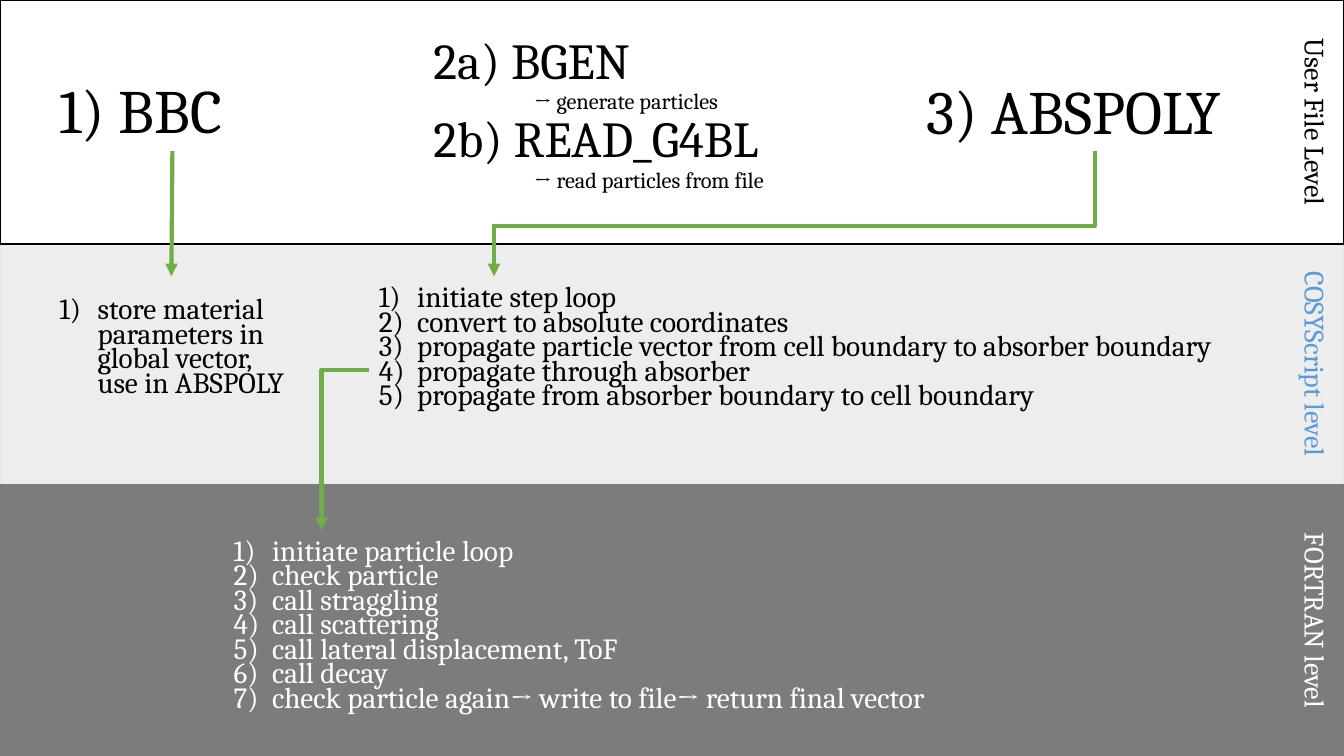
from dataclasses import dataclass
from lxml.etree import SubElement
from pptx import Presentation
from pptx.dml.color import RGBColor
from pptx.enum.shapes import MSO_CONNECTOR, MSO_SHAPE
from pptx.enum.text import MSO_ANCHOR, PP_ALIGN
from pptx.oxml.ns import qn
from pptx.util import Inches, Pt


@dataclass(frozen=True)
class Theme:
    font: str = "Cambria"
    dark: str = "000000"
    light: str = "FFFFFF"
    blue: str = "5B9BD5"
    arrow: str = "70AD47"
    fortran_fill: str = "7C7C7C"
    script_fill: str = "EDEDED"
    script_line: str = "E7E6E6"
    title: float = 44
    subtitle: float = 36
    note: float = 16
    step: float = 20.9
    label: float = 20
    arrow_width: float = 3


THEME = Theme()
WIDTH, HEIGHT = 13.33, 7.5
LABEL_CENTER, LABEL_HEIGHT = 13.03, 0.6
STEP_INDENT, NOTE_INDENT = 0.38, 1.0

BANDS = [
    ("FORTRAN level", 4.81, 2.69, THEME.fortran_fill, THEME.fortran_fill, THEME.light),
    ("COSYScript level", 2.42, 2.38, THEME.script_fill, THEME.script_line, THEME.blue),
    ("User File Level", 0, 2.42, None, THEME.dark, THEME.dark),
]

STEP_LISTS = [
    ((3.66, 2.74, 9.67, 1.45), THEME.dark, [
        "initiate step loop",
        "convert to absolute coordinates",
        "propagate particle vector from cell boundary to absorber boundary",
        "propagate through absorber",
        "propagate from absorber boundary to cell boundary",
    ]),
    ((0.49, 2.74, 2.44, 1.45), THEME.dark, [
        "store material parameters in global vector, use in ABSPOLY",
    ]),
    ((2.22, 5.31, 9.04, 1.83), THEME.light, [
        "initiate particle loop",
        "check particle",
        "call straggling",
        "call scattering",
        "call lateral displacement, ToF",
        "call decay",
        "check particle again→ write to file→ return final vector",
    ]),
]

COMMANDS = [
    ((0.49, 0.4, 2.24, 1.45), [("1) BBC", THEME.title, 0)]),
    ((4.2, 0.14, 3.87, 1.99), [
        ("2a) BGEN", THEME.subtitle, 0),
        ("→ generate particles", THEME.note, NOTE_INDENT),
        ("2b) READ_G4BL", THEME.subtitle, 0),
        ("→ read particles from file", THEME.note, NOTE_INDENT),
    ]),
    ((9.09, 0.41, 3.54, 1.45), [("3) ABSPOLY", THEME.title, 0)]),
]

FLOWS = [
    ((1.71, 1.5), (1.7, 2.74), False, True),
    ((4.9, 2.24), (4.9, 2.74), False, True),
    ((3.66, 3.67), (3.19, 5.26), True, True),
    ((4.88, 2.24), (10.86, 1.86), True, False),
    ((10.86, 1.96), (10.86, 1.5), False, False),
]


def color(value):
    return RGBColor.from_string(value)


def add_band(page, top, height, fill, line):
    band = page.shapes.add_shape(
        MSO_SHAPE.RECTANGLE, 0, Inches(top), Inches(WIDTH), Inches(height))
    band.shadow.inherit = False
    if fill:
        band.fill.solid()
        band.fill.fore_color.rgb = color(fill)
    else:
        band.fill.background()
    band.line.color.rgb = color(line)
    band.line.width = Pt(1)


def add_text(page, place, lines, text_color, spacing=0.9):
    box = page.shapes.add_textbox(*map(Inches, place))
    frame = box.text_frame
    frame.word_wrap = True
    frame.vertical_anchor = MSO_ANCHOR.MIDDLE
    frame.text = "\n".join(text for text, size, indent in lines)
    for para, (text, size, indent) in zip(frame.paragraphs, lines):
        para.line_spacing = spacing
        if indent:
            para._p.get_or_add_pPr().set("marL", str(Inches(indent)))
        for span in para.runs:
            span.font.name = THEME.font
            span.font.size = Pt(size)
            span.font.color.rgb = color(text_color)
    return box


def add_steps(page, place, text_color, steps):
    lines = [(step, THEME.step, STEP_INDENT) for step in steps]
    box = add_text(page, place, lines, text_color, 0.7)
    for para in box.text_frame.paragraphs:
        properties = para._p.get_or_add_pPr()
        properties.set("indent", str(-Inches(STEP_INDENT)))
        SubElement(properties, qn("a:buFont"), typeface="+mj-lt")
        SubElement(properties, qn("a:buAutoNum"), type="arabicParenR")


def add_label(page, text, top, height, text_color):
    place = (LABEL_CENTER - height / 2, top + (height - LABEL_HEIGHT) / 2,
             height, LABEL_HEIGHT)
    box = add_text(page, place, [(text, THEME.label, 0)], text_color)
    box.rotation = 90
    box.text_frame.paragraphs[0].alignment = PP_ALIGN.CENTER


def add_flow(page, start, end, bent, arrowhead):
    kind = MSO_CONNECTOR.ELBOW if bent else MSO_CONNECTOR.STRAIGHT
    flow = page.shapes.add_connector(kind, *map(Inches, start + end))
    flow.line.color.rgb = color(THEME.arrow)
    flow.line.width = Pt(THEME.arrow_width)
    properties = flow._element.spPr
    if bent:
        properties.find(qn("a:prstGeom")).set("prst", "bentConnector2")
    if arrowhead:
        SubElement(flow.line._get_or_add_ln(), qn("a:tailEnd"), type="triangle")
    SubElement(properties, qn("a:effectLst"))


def main():
    deck = Presentation()
    deck.slide_width, deck.slide_height = Inches(WIDTH), Inches(HEIGHT)
    page = deck.slides.add_slide(deck.slide_layouts[6])
    for label, top, height, fill, line, text_color in BANDS:
        add_band(page, top, height, fill, line)
        add_label(page, label, top, height, text_color)
    for place, text_color, steps in STEP_LISTS:
        add_steps(page, place, text_color, steps)
    for place, lines in COMMANDS:
        add_text(page, place, lines, THEME.dark)
    for flow in FLOWS:
        add_flow(page, *flow)
    deck.save("out.pptx")


if __name__ == "__main__":
    main()
